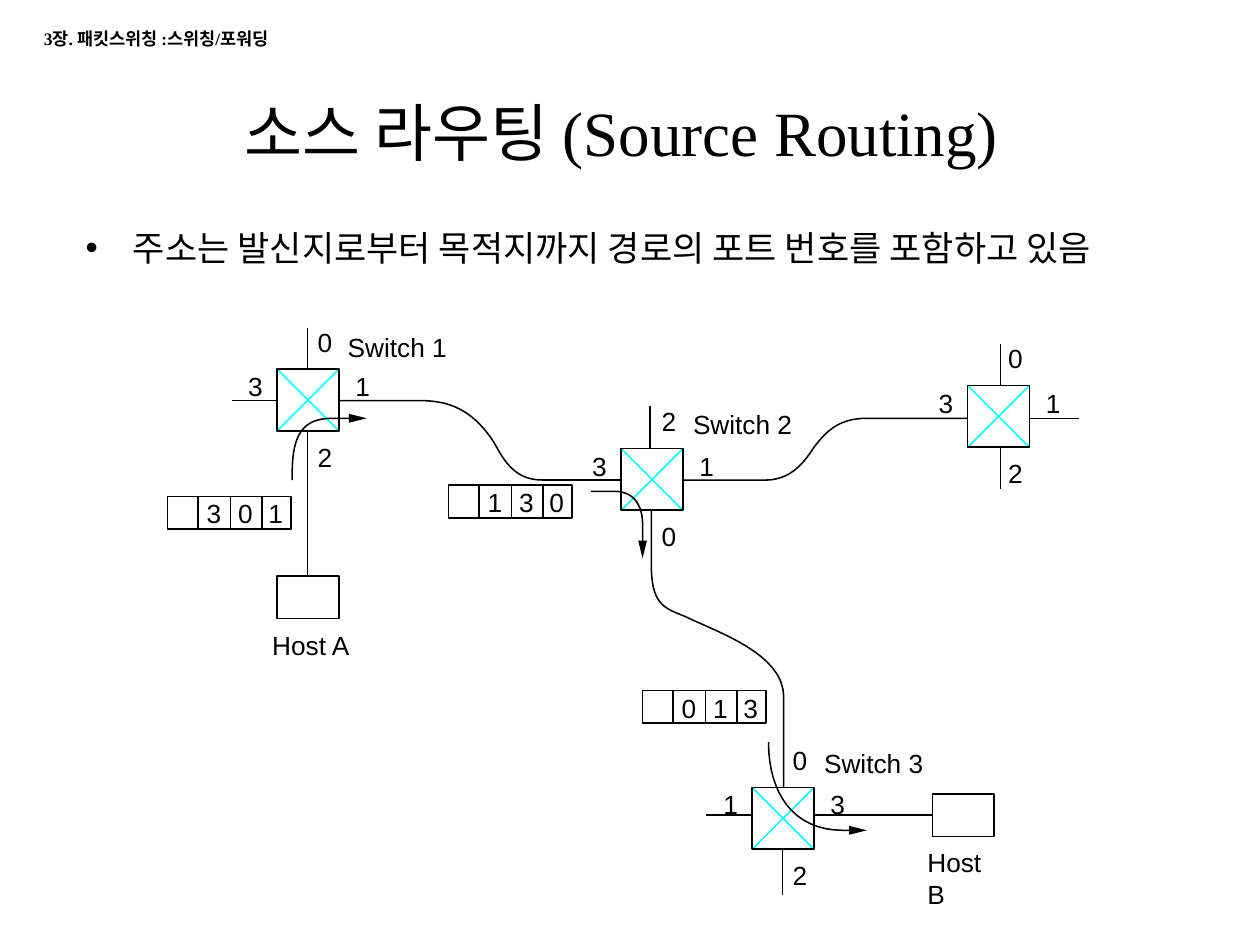
import pptx
import pptx.dml.color
import pptx.enum.shapes
import pptx.enum.text
import pptx.oxml
import pptx.util
from pptx.util import Inches

COLORS = {"ink": "000000", "cross": "00FFFF", "paper": "FFFFFF"}
SERIF, SANS = "Times New Roman", "Arial"
LINE_WIDTH = pptx.util.Pt(0.88)
SWITCH_SIZE = 0.49
HOST_WIDTH, HOST_HEIGHT = 0.49, 0.34
PACKET_WIDTH, PACKET_HEIGHT = 0.98, 0.26
CURVE_STEPS = 16


def rgb(name):
    return pptx.dml.color.RGBColor.from_string(COLORS[name])


def format_text(frame, size, font, bold=False):
    for para in frame.paragraphs:
        for span in para.runs:
            span.font.size = pptx.util.Pt(size)
            span.font.name = font
            span.font.bold = bold
            span.font.color.rgb = rgb("ink")


def place(shape, left, top, width, height):
    shape.left, shape.top = Inches(left), Inches(top)
    shape.width, shape.height = Inches(width), Inches(height)


def add_label(page, text, left, top, width=0.12):
    label = page.shapes.add_textbox(Inches(left), Inches(top), Inches(width), Inches(0.25))
    frame = label.text_frame
    frame.margin_left = frame.margin_right = frame.margin_top = frame.margin_bottom = 0
    frame.word_wrap = False
    frame.text = text
    format_text(frame, 15, SANS)


def add_line(page, x1, y1, x2, y2, color="ink"):
    line = page.shapes.add_connector(
        pptx.enum.shapes.MSO_CONNECTOR.STRAIGHT, Inches(x1), Inches(y1), Inches(x2), Inches(y2))
    line.line.color.rgb = rgb(color)
    line.line.width = LINE_WIDTH
    properties = line._element.spPr
    properties.append(pptx.oxml.parse_xml(
        '<a:effectLst xmlns:a="http://schemas.openxmlformats.org/drawingml/2006/main"/>'))


def style_outline(shape):
    shape.shadow.inherit = False
    shape.fill.background()
    shape.line.color.rgb = rgb("ink")
    shape.line.width = LINE_WIDTH


def add_box(page, left, top, width, height):
    box = page.shapes.add_shape(
        pptx.enum.shapes.MSO_SHAPE.RECTANGLE,
        Inches(left), Inches(top), Inches(width), Inches(height))
    style_outline(box)


def trace(start, steps):
    """Points along a route: a pair is a straight step, six numbers a cubic curve."""
    points = [start]
    for step in steps:
        if len(step) == 2:
            points.append(step)
            continue
        x0, y0 = points[-1]
        x1, y1, x2, y2, x3, y3 = step
        for index in range(1, CURVE_STEPS + 1):
            t = index / CURVE_STEPS
            a, b, c, d = (1 - t) ** 3, 3 * t * (1 - t) ** 2, 3 * t * t * (1 - t), t ** 3
            points.append((a * x0 + b * x1 + c * x2 + d * x3,
                           a * y0 + b * y1 + c * y2 + d * y3))
    return points


def add_outline(page, points, close=False):
    corners = [(Inches(x), Inches(y)) for x, y in points]
    builder = page.shapes.build_freeform(*corners[0])
    builder.add_line_segments(corners[1:], close=close)
    shape = builder.convert_to_shape()
    style_outline(shape)
    return shape


def add_flow(page, start, steps, direction):
    """Curved path of a packet through a switch, ending in a solid arrowhead."""
    add_outline(page, trace(start, steps))
    x, y = steps[-1]
    dx, dy = direction
    base_x, base_y = x - 0.02 * dx, y - 0.02 * dy
    head = add_outline(page, [
        (base_x - 0.035 * dy, base_y - 0.035 * dx),
        (base_x + 0.14 * dx, base_y + 0.14 * dy),
        (base_x + 0.035 * dy, base_y + 0.035 * dx)], close=True)
    head.fill.solid()
    head.fill.fore_color.rgb = rgb("ink")
    head.line.fill.background()


def add_switch(page, left, top, ports, name=None, name_at=None):
    """Crossed square with port numbers at the top, right, bottom and left."""
    right, bottom = left + SWITCH_SIZE, top + SWITCH_SIZE
    add_line(page, left, top, right, bottom, "cross")
    add_line(page, right, top, left, bottom, "cross")
    add_box(page, left, top, SWITCH_SIZE, SWITCH_SIZE)
    offsets = [(0.32, -0.34), (0.62, 0.01), (0.32, 0.57), (-0.23, 0.01)]
    for port, (dx, dy) in zip(ports, offsets):
        add_label(page, port, left + dx, top + dy)
    if name:
        add_label(page, name, left + name_at[0], top + name_at[1], 0.79)


def add_host(page, left, top, name, name_dx):
    add_box(page, left, top, HOST_WIDTH, HOST_HEIGHT)
    add_label(page, name, left + name_dx, top + 0.42, 0.62)


def add_packet(page, left, top, digits):
    """Header whose last three cells hold the remaining port numbers."""
    add_box(page, left, top, PACKET_WIDTH, PACKET_HEIGHT)
    for digit, divider, digit_dx in zip(digits, (0.24, 0.5, 0.75), (0.31, 0.56, 0.8)):
        add_line(page, left + divider, top, left + divider, top + PACKET_HEIGHT)
        add_label(page, digit, left + digit_dx, top + 0.01)


def add_texts(page):
    # Title and bullet
    title, body = page.shapes.title, page.placeholders[1]
    place(title, 0.58, 0.5, 8.83, 1.08)
    title.text_frame.text = "소스 라우팅 (Source Routing) "
    title.text_frame.vertical_anchor = pptx.enum.text.MSO_ANCHOR.MIDDLE
    format_text(title.text_frame, 36, SERIF)
    place(body, 0.58, 1.75, 8.83, 5.33)
    body.text_frame.text = "주소는 발신지로부터 목적지까지 경로의 포트 번호를 포함하고 있음"
    format_text(body.text_frame, 20, SERIF)

    # Chapter line
    chapter = page.shapes.add_textbox(Inches(0.25), Inches(0.17), Inches(2.83), Inches(0.27))
    chapter.text_frame.word_wrap = True
    chapter.text_frame.text = "3장. 패킷스위칭 :스위칭/포워딩"
    format_text(chapter.text_frame, 10, SERIF, bold=True)


def add_network(page):
    # Switches and hosts
    add_switch(page, 2.2, 2.93, "0123", "Switch 1", (0.56, -0.3))
    add_switch(page, 4.93, 3.56, "2103", "Switch 2", (0.57, -0.32))
    add_switch(page, 5.97, 6.25, "0321", "Switch 3", (0.57, -0.32))
    add_switch(page, 7.68, 3.06, "0123")
    add_host(page, 2.2, 4.57, "Host A", -0.04)
    add_host(page, 7.4, 6.3, "Host B", -0.04)

    # Straight links and open ports
    for link in [
        (2.2, 3.18, 1.84, 3.18), (2.44, 2.6, 2.44, 2.93), (2.44, 3.42, 2.44, 4.57),
        (5.16, 3.22, 5.16, 3.56), (8.17, 3.32, 8.56, 3.32), (7.94, 2.73, 7.94, 3.06),
        (7.94, 3.55, 7.94, 3.88), (5.6, 6.47, 5.97, 6.47), (6.46, 6.47, 7.4, 6.47),
        (6.21, 6.74, 6.21, 7.1),
    ]:
        add_line(page, *link)

    # Curved links between switches
    for start, steps in [
        ((2.69, 3.18), [(3.34, 3.18), (3.62, 3.18, 3.78, 3.3, 3.92, 3.51),
                        (4, 3.66, 4.09, 3.81, 4.3, 3.81), (4.93, 3.81)]),
        ((5.42, 3.81), [(6.07, 3.81), (6.25, 3.81, 6.36, 3.71, 6.46, 3.55),
                        (6.56, 3.42, 6.66, 3.32, 6.88, 3.32), (7.68, 3.32)]),
        ((5.17, 4.05), [(5.17, 4.53), (5.18, 4.8, 5.28, 4.83, 5.43, 4.89),
                        (5.7, 5.02, 6.22, 5.19, 6.22, 5.53), (6.22, 6.25)]),
    ]:
        add_outline(page, trace(start, steps))

    # Packet headers and their paths through the switches
    add_packet(page, 1.33, 3.94, "301")
    add_packet(page, 3.56, 3.85, "130")
    add_packet(page, 5.1, 5.48, "013")
    add_flow(page, (2.32, 3.81),
             [(2.31, 3.45, 2.4, 3.32, 2.64, 3.32), (2.79, 3.32)], (1, 0))
    add_flow(page, (4.69, 3.9),
             [(4.88, 3.9), (5.02, 3.9, 5.1, 4, 5.1, 4.16), (5.1, 4.31)], (0, 1))
    add_flow(page, (6.1, 5.89),
             [(6.1, 6.3, 6.3, 6.59, 6.69, 6.59), (6.76, 6.59)], (1, 0))


def main():
    deck = pptx.Presentation()
    deck.slide_width, deck.slide_height = Inches(10), Inches(7.5)
    page = deck.slides.add_slide(deck.slide_layouts[1])
    page.background.fill.solid()
    page.background.fill.fore_color.rgb = rgb("paper")
    add_texts(page)
    add_network(page)
    deck.save("out.pptx")


if __name__ == "__main__":
    main()
